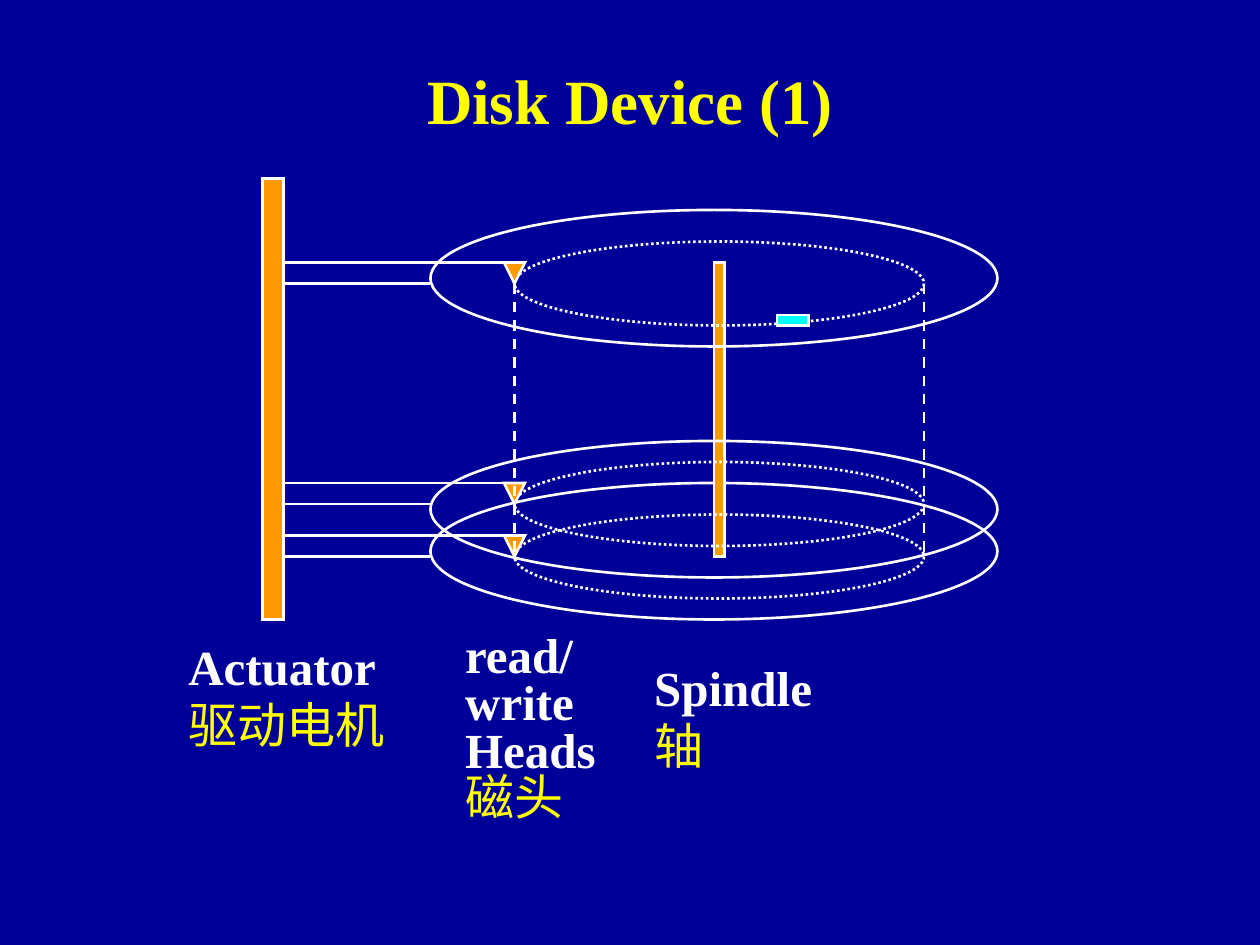
from lxml import etree
from pptx import Presentation
from pptx.dml.color import RGBColor
from pptx.enum.dml import MSO_LINE
from pptx.enum.shapes import MSO_CONNECTOR, MSO_SHAPE
from pptx.enum.text import MSO_ANCHOR, MSO_AUTO_SIZE, PP_ALIGN
from pptx.oxml.ns import qn
from pptx.util import Pt

PX = 9525
FONT = "Times New Roman"
NAVY = RGBColor(0x00, 0x00, 0x99)
YELLOW = RGBColor(0xFF, 0xFF, 0x00)
WHITE = RGBColor(0xFF, 0xFF, 0xFF)
ORANGE = RGBColor(0xFF, 0x99, 0x00)
CYAN = RGBColor(0x00, 0xFF, 0xFF)

RECT = MSO_SHAPE.RECTANGLE
OVAL = MSO_SHAPE.OVAL
MERGE = MSO_SHAPE.FLOWCHART_MERGE
STRAIGHT = MSO_CONNECTOR.STRAIGHT
DOTTED = MSO_LINE.ROUND_DOT
DASHED = MSO_LINE.DASH


def emu(*lengths):
    return [n * PX for n in lengths]


def style_line(line, dash=None):
    line.color.rgb = WHITE
    line.width = Pt(1.5)
    if dash is not None:
        line.dash_style = dash


def add_shape(s, kind, x, y, w, h, fill=None, dash=None):
    sp = s.shapes.add_shape(kind, *emu(x, y, w, h))
    sp.shadow.inherit = False
    if fill is None:
        sp.fill.background()
    else:
        sp.fill.solid()
        sp.fill.fore_color.rgb = fill
    style_line(sp.line, dash)
    ln = sp._element.spPr.find(qn("a:ln"))
    etree.SubElement(ln, qn("a:miter"), lim="800000")


def add_line(s, x1, y1, x2, y2, dash=None):
    cxn = s.shapes.add_connector(STRAIGHT, *emu(x1, y1, x2, y2))
    style_line(cxn.line, dash)
    etree.SubElement(cxn._element.spPr, qn("a:effectLst"))


def add_run(p, text, size, color, bold):
    r = p.add_run()
    r.text = text
    r.font.name = FONT
    r.font.size = Pt(size)
    r.font.bold = bold
    r.font.color.rgb = color


def add_title(s, x, y, w, h, text):
    sp = s.shapes.title
    sp.left, sp.top, sp.width, sp.height = emu(x, y, w, h)
    tf = sp.text_frame
    tf.vertical_anchor = MSO_ANCHOR.MIDDLE
    p = tf.paragraphs[0]
    p.alignment = PP_ALIGN.CENTER
    add_run(p, text, 36, YELLOW, True)


def add_arm(s, x, y):
    add_line(s, x, y, x + 184, y)
    add_line(s, x, y + 16, x + 112, y + 16)
    add_shape(s, MERGE, x + 168, y, 16, 16, ORANGE)


def add_drive(s, x, y):
    tracks = [y + 48, y + 216, y + 256]

    def add_platter(top):
        add_shape(s, OVAL, x + 128, y + top, 432, 104)

    add_platter(232)
    add_shape(s, RECT, x + 344, y + 64, 8, 224, ORANGE)
    add_platter(200)
    add_platter(24)
    for top in tracks:
        add_shape(s, OVAL, x + 192, top, 312, 64, dash=DOTTED)
    add_shape(s, RECT, x + 392, y + 104, 24, 8, CYAN)
    add_shape(s, RECT, x, y, 16, 336, ORANGE)
    for top in tracks:
        add_arm(s, x + 16, top + 16)
    for side in (x + 504, x + 192):
        add_line(s, side, tracks[0] + 32, side, tracks[-1] + 32, DASHED)


def add_label(s, x, y, w, h, english, chinese, spacing=None):
    tf = s.shapes.add_textbox(*emu(x, y, w, h)).text_frame
    tf.word_wrap = False
    tf.auto_size = MSO_AUTO_SIZE.SHAPE_TO_FIT_TEXT
    for i, text in enumerate(english + [chinese]):
        p = tf.paragraphs[0] if i == 0 else tf.add_paragraph()
        if spacing is not None:
            p.line_spacing = spacing
        is_english = i < len(english)
        add_run(p, text, 28, WHITE if is_english else YELLOW, is_english)


def main():
    prs = Presentation()
    prs.slide_width, prs.slide_height = emu(960, 720)
    s = prs.slides.add_slide(prs.slide_layouts[5])
    s.background.fill.solid()
    s.background.fill.fore_color.rgb = NAVY
    add_title(s, 72, 24, 816, 104, "Disk Device (1)")
    add_drive(s, 200, 136)
    add_label(s, 134, 480, 168, 100, ["Actuator"], "驱动电机")
    add_label(s, 345, 480, 120, 154, ["read/", "write", "Heads"], "磁头", 0.8)
    add_label(s, 489, 496, 141, 100, ["Spindle"], "轴")
    prs.save("out.pptx")


if __name__ == "__main__":
    main()
